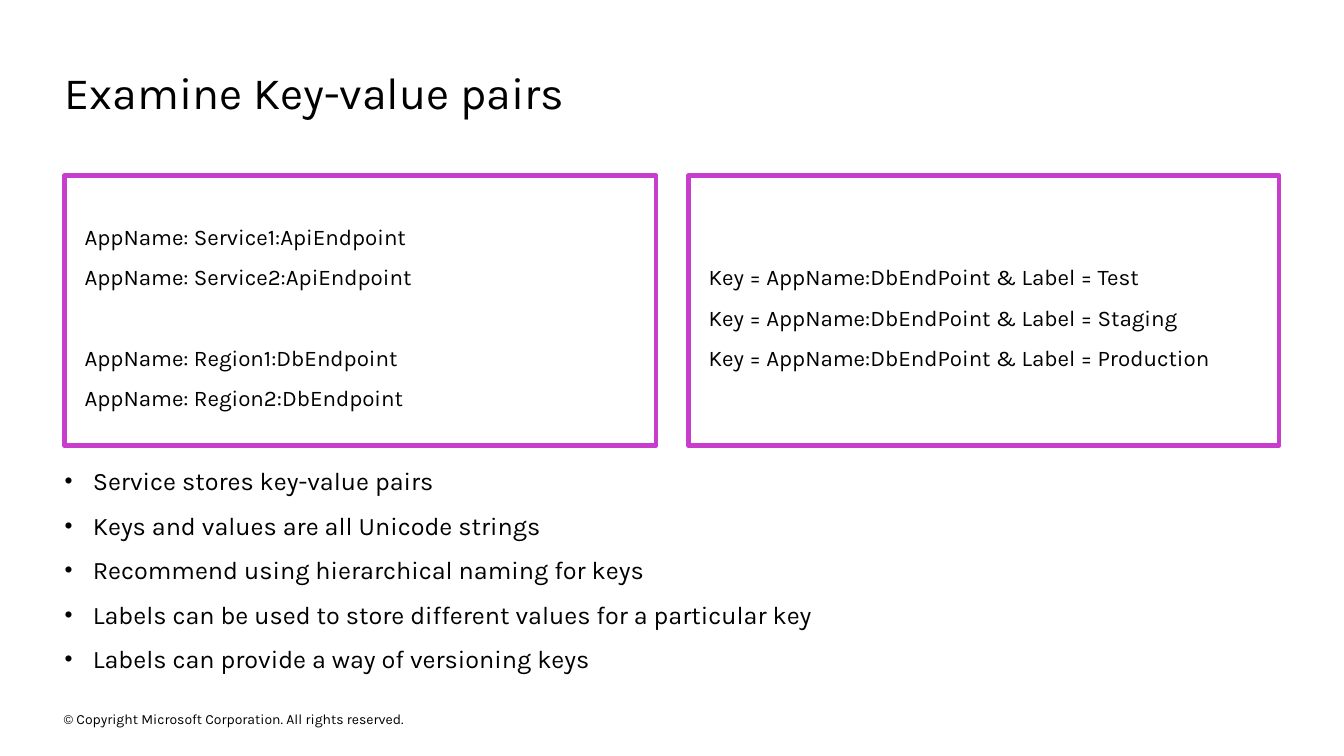
from dataclasses import dataclass

from lxml import etree
from pptx import Presentation
from pptx.dml.color import RGBColor
from pptx.enum.shapes import MSO_SHAPE
from pptx.enum.text import MSO_ANCHOR as Anchor, PP_ALIGN as Align
from pptx.oxml.ns import qn
from pptx.slide import Slide
from pptx.text.text import TextFrame
from pptx.util import Pt

FONT = "Karla"
BLACK = RGBColor(0x00, 0x00, 0x00)
WHITE = RGBColor(0xFF, 0xFF, 0xFF)
MAGENTA = RGBColor(0xC7, 0x3E, 0xCC)

LEFT = 46.1
PANEL_TOP, PANEL_HEIGHT = 125.3, 193
LINE_GAP = 28.8
BULLET_INDENT = 20.2


@dataclass
class TextBlock:
    left: float
    top: float
    width: float
    height: float
    size: float
    lines: list[str]
    anchor: Anchor = Anchor.TOP


@dataclass
class KeyPanel:
    left: float
    width: float
    groups: list[list[str]]


TITLE = TextBlock(LEFT, 46.1, 645, 39, 32, ["Examine Key-value pairs"])
COPYRIGHT = TextBlock(45.4, 505.4, 327, 16, 10,
                      ["© Copyright Microsoft Corporation. All rights reserved."],
                      Anchor.MIDDLE)
FACTS = TextBlock(LEFT, 332.6, 872.6, 150.5, 18, [
    "Service stores key-value pairs",
    "Keys and values are all Unicode strings",
    "Recommend using hierarchical naming for keys",
    "Labels can be used to store different values for a particular key",
    "Labels can provide a way of versioning keys",
])
PANELS = [
    KeyPanel(LEFT, 422.6, [
        ["AppName: Service1:ApiEndpoint", "AppName: Service2:ApiEndpoint"],
        ["AppName: Region1:DbEndpoint", "AppName: Region2:DbEndpoint"],
    ]),
    KeyPanel(491.8, 421.9, [
        [f"Key = AppName:DbEndPoint & Label = {label}"
         for label in ("Test", "Staging", "Production")],
    ]),
]


def fill_frame(frame: TextFrame, lines: list[str], size: float,
               anchor: Anchor, inset_x: float = 0, inset_y: float = 0) -> None:
    frame.word_wrap = True
    frame.vertical_anchor = anchor
    frame.margin_left = frame.margin_right = Pt(inset_x)
    frame.margin_top = frame.margin_bottom = Pt(inset_y)
    frame.text = "\n".join(lines)
    for paragraph in frame.paragraphs:
        paragraph.alignment = Align.LEFT
        for run in paragraph.runs:
            run.font.name = FONT
            run.font.size = Pt(size)
            run.font.color.rgb = BLACK


def add_text(slide: Slide, block: TextBlock) -> TextFrame:
    box = slide.shapes.add_textbox(Pt(block.left), Pt(block.top),
                                   Pt(block.width), Pt(block.height))
    fill_frame(box.text_frame, block.lines, block.size, block.anchor)
    return box.text_frame


def add_bullets(frame: TextFrame) -> None:
    for index, paragraph in enumerate(frame.paragraphs):
        properties = paragraph._p.get_or_add_pPr()
        properties.set("marL", str(Pt(BULLET_INDENT)))
        properties.set("indent", str(-Pt(BULLET_INDENT)))
        etree.SubElement(properties, qn("a:buSzPct"), val="90000")
        etree.SubElement(properties, qn("a:buFont"), typeface="Arial")
        etree.SubElement(properties, qn("a:buChar"), char="•")
        paragraph.space_after = Pt(6)
        if index:
            paragraph.space_before = Pt(4.2)


def add_panel(slide: Slide, panel: KeyPanel) -> None:
    """Draw a framed list of keys, with one line of space between groups."""
    frame = slide.shapes.add_shape(MSO_SHAPE.RECTANGLE, Pt(panel.left), Pt(PANEL_TOP),
                                   Pt(panel.width), Pt(PANEL_HEIGHT))
    frame.shadow.inherit = False
    frame.fill.solid()
    frame.fill.fore_color.rgb = WHITE
    frame.line.color.rgb = MAGENTA
    frame.line.width = Pt(3)

    keys = [key for group in panel.groups for key in group]
    fill_frame(frame.text_frame, keys, 16, Anchor.MIDDLE, 14.4, 11.5)
    group_starts = {group[0] for group in panel.groups[1:]}
    for paragraph in frame.text_frame.paragraphs:
        paragraph.line_spacing = 1.5
        if paragraph.text in group_starts:
            paragraph.space_before = Pt(LINE_GAP)


def main() -> None:
    deck = Presentation()
    deck.slide_width, deck.slide_height = Pt(960), Pt(540)
    slide = deck.slides.add_slide(deck.slide_layouts[6])
    add_text(slide, COPYRIGHT)
    add_text(slide, TITLE)
    add_bullets(add_text(slide, FACTS))
    for panel in PANELS:
        add_panel(slide, panel)
    deck.save("out.pptx")


if __name__ == "__main__":
    main()
